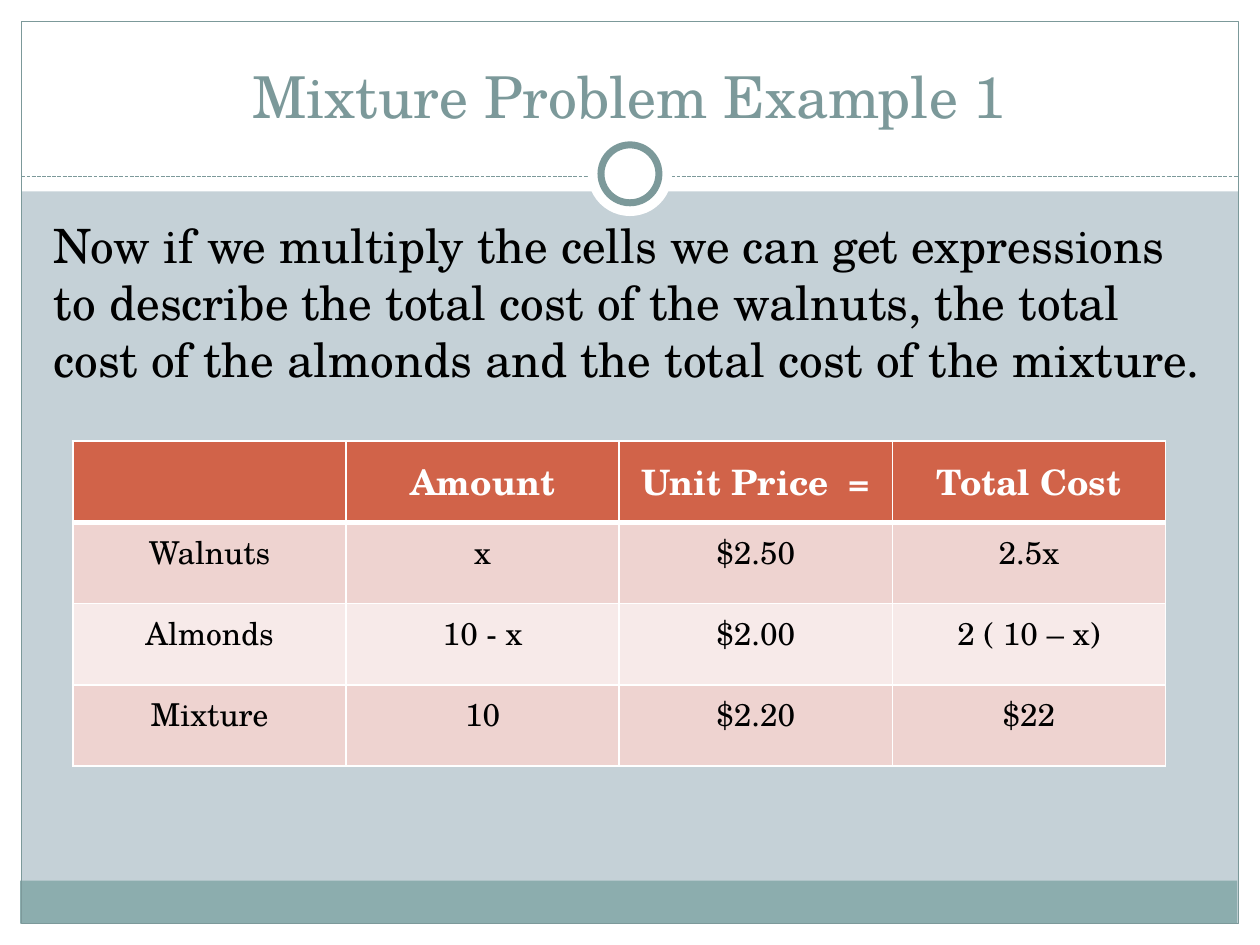
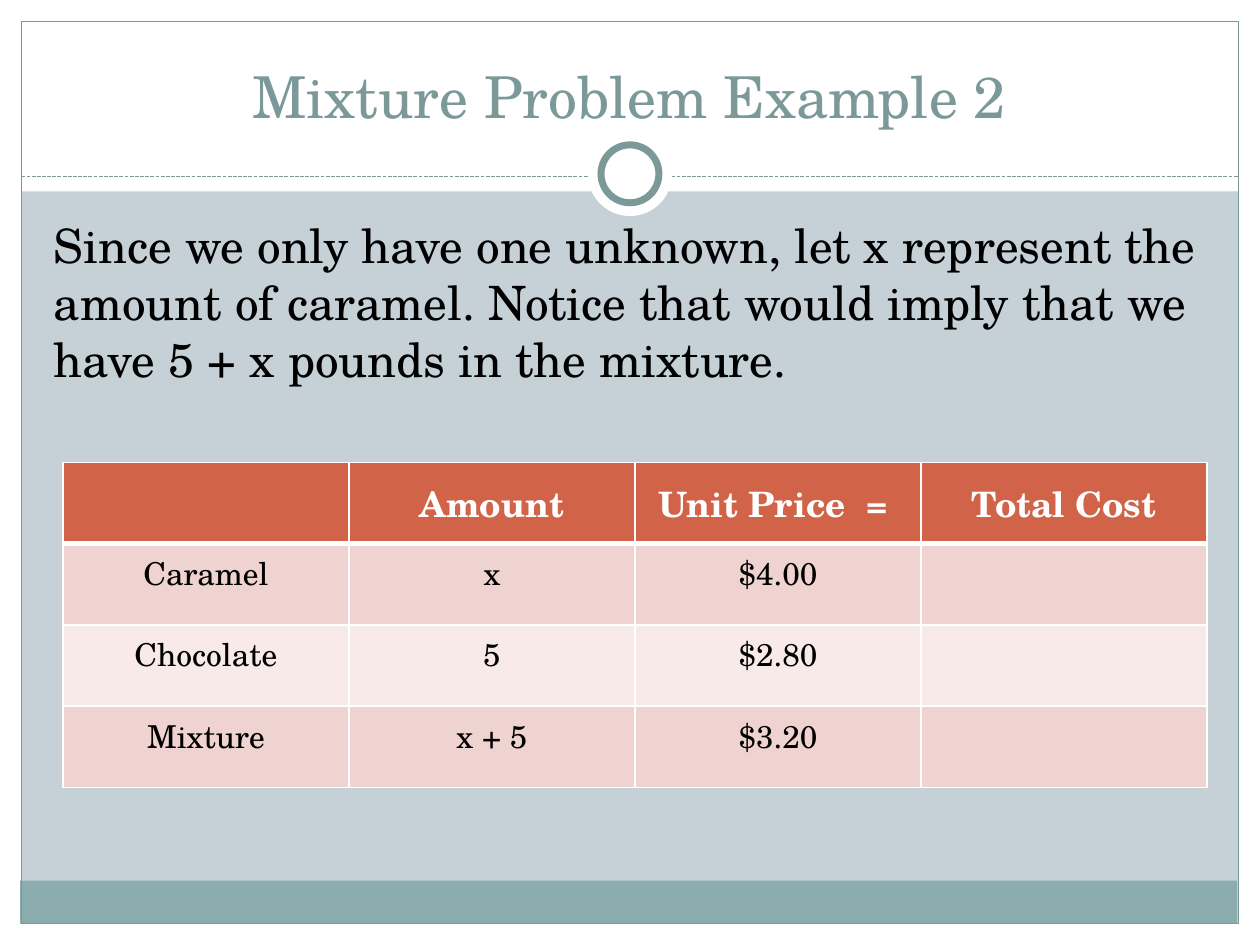
from lxml import etree
from pptx import Presentation
from pptx.dml.color import RGBColor
from pptx.enum import dml, shapes, text
from pptx.oxml import ns
from pptx.util import Inches, Pt

HEADINGS = ["", "Amount", "Unit Price  =", "Total Cost"]
EXAMPLES = [
    {
        "title": "Mixture Problem Example 1",
        "body": "Now if we multiply the cells we can get expressions to describe "
                "the total cost of the walnuts, the total cost of the almonds "
                "and the total cost of the mixture.",
        "rows": [
            HEADINGS,
            ["Walnuts", "x", "$2.50", "2.5x"],
            ["Almonds", "10 - x", "$2.00", "2 ( 10 – x)"],
            ["Mixture", "10", "$2.20", "$22"],
        ],
        "place": (0.58, 3.5, 8.67, 2.58),
    },
    {
        "title": "Mixture Problem Example 2",
        "body": "Since we only have one unknown, let x represent the amount of "
                "caramel. Notice that would imply that we have 5 + x pounds "
                "in the mixture.",
        "rows": [
            ["", "Amount", "Unit Price  = ", "Total Cost"],
            ["Caramel", "x", "$4.00", ""],
            ["Chocolate", "5", "$2.80", ""],
            ["Mixture", "x + 5", "$3.20", ""],
        ],
        "place": (0.5, 3.67, 9.08, 2.58),
    },
]

FONT = "TeX Gyre Schola"
BACKGROUND = RGBColor(0xC5, 0xD1, 0xD7)
WHITE = RGBColor(0xFF, 0xFF, 0xFF)
BLACK = RGBColor(0, 0, 0)
TEAL = RGBColor(0x7C, 0x99, 0x9A)
FOOTER = RGBColor(0x8C, 0xAD, 0xAE)
HEADER_FILL = RGBColor(0xD1, 0x63, 0x49)
ROW_FILLS = [RGBColor(0xEE, 0xD3, 0xD0), RGBColor(0xF7, 0xEA, 0xE9)]

WIDTH, HEIGHT, MARGIN = 10, 7.5, 0.17
INNER_WIDTH = WIDTH - 2 * MARGIN
INNER_HEIGHT = HEIGHT - 2 * MARGIN
RULE_Y, RING_Y = 1.4, 1.38
RECT, OVAL = shapes.MSO_SHAPE.RECTANGLE, shapes.MSO_SHAPE.OVAL
CENTER = text.PP_ALIGN.CENTER


def box(left, top, width, height):
    return [Inches(n) for n in (left, top, width, height)]


def write(frame, words, size, color, align=text.PP_ALIGN.LEFT, bold=False, before=0):
    paragraph = frame.paragraphs[0]
    paragraph.alignment = align
    paragraph.space_before = Pt(before)
    run = paragraph.add_run()
    run.text = words
    run.font.name, run.font.size, run.font.bold = FONT, Pt(size), bold
    run.font.color.rgb = color


def add_text(slide, place, words, anchor, **style):
    frame = slide.shapes.add_textbox(*box(*place)).text_frame
    frame.word_wrap = True
    frame.vertical_anchor = anchor
    write(frame, words, **style)


def add_part(slide, kind, place, fill=None, line=None, weight=0.75):
    part = slide.shapes.add_shape(kind, *box(*place))
    part.shadow.inherit = False
    if fill is None:
        part.fill.background()
    else:
        part.fill.solid()
        part.fill.fore_color.rgb = fill
    if line is None:
        part.line.fill.background()
    else:
        part.line.color.rgb = line
        part.line.width = Pt(weight)


def add_circle(slide, diameter, **style):
    place = ((WIDTH - diameter) / 2, RING_Y - diameter / 2, diameter, diameter)
    add_part(slide, OVAL, place, **style)


def add_frame(slide):
    slide.background.fill.solid()
    slide.background.fill.fore_color.rgb = BACKGROUND
    for place in [
        (0, HEIGHT - MARGIN, WIDTH, MARGIN),
        (0, 0, WIDTH, 1.52),
        (0, 0, MARGIN, HEIGHT),
        (WIDTH - MARGIN, 0, MARGIN, HEIGHT),
    ]:
        add_part(slide, RECT, place, fill=WHITE)
    add_part(slide, RECT, (0.16, 6.99, INNER_WIDTH, 0.34), fill=FOOTER)
    add_part(slide, RECT, (MARGIN, MARGIN, INNER_WIDTH, INNER_HEIGHT), line=TEAL)
    rule = slide.shapes.add_connector(
        shapes.MSO_CONNECTOR.STRAIGHT,
        Inches(MARGIN), Inches(RULE_Y), Inches(WIDTH - MARGIN), Inches(RULE_Y))
    rule.line.color.rgb = TEAL
    rule.line.width = Pt(0.75)
    rule.line.dash_style = dml.MSO_LINE.SQUARE_DOT
    etree.SubElement(rule._element.spPr, ns.qn("a:effectLst"))
    add_circle(slide, 0.67, fill=WHITE)
    add_circle(slide, 0.46, fill=WHITE, line=TEAL, weight=4)


def set_borders(cell, top, bottom):
    properties = cell._tc.get_or_add_tcPr()
    for side, weight in {"L": 1, "R": 1, "T": top, "B": bottom}.items():
        border = etree.SubElement(properties, ns.qn(f"a:ln{side}"), w=str(Pt(weight)))
        fill = etree.SubElement(border, ns.qn("a:solidFill"))
        etree.SubElement(fill, ns.qn("a:srgbClr"), val=str(WHITE))


def add_prices(slide, rows, place):
    table = slide.shapes.add_table(len(rows), len(rows[0]), *box(*place)).table
    for column in table.columns:
        column.width = Inches(place[2] / len(rows[0]))
    for r, row in enumerate(rows):
        table.rows[r].height = Inches(place[3] / len(rows))
        header = r == 0
        for c, words in enumerate(row):
            cell = table.cell(r, c)
            set_borders(cell, top=3 if r == 1 else 1, bottom=3 if header else 1)
            cell.fill.solid()
            cell.fill.fore_color.rgb = HEADER_FILL if header else ROW_FILLS[(r - 1) % 2]
            if header:
                cell.vertical_anchor = text.MSO_ANCHOR.MIDDLE
            if words:
                write(cell.text_frame, words, size=20 if header else 18,
                      color=WHITE if header else BLACK, align=CENTER, bold=header)


deck = Presentation()
deck.slide_width, deck.slide_height = Inches(WIDTH), Inches(HEIGHT)
for example in EXAMPLES:
    slide = deck.slides.add_slide(deck.slide_layouts[6])
    add_frame(slide)
    add_text(slide, (0.33, 0.25, 9.33, 0.83), example["title"],
             text.MSO_ANCHOR.BOTTOM, size=33, color=TEAL, align=CENTER)
    add_text(slide, (0.33, 1.67, 9.3, 1.83), example["body"],
             text.MSO_ANCHOR.TOP, size=27, color=BLACK, before=5.4)
    add_prices(slide, example["rows"], example["place"])
deck.save("out.pptx")
